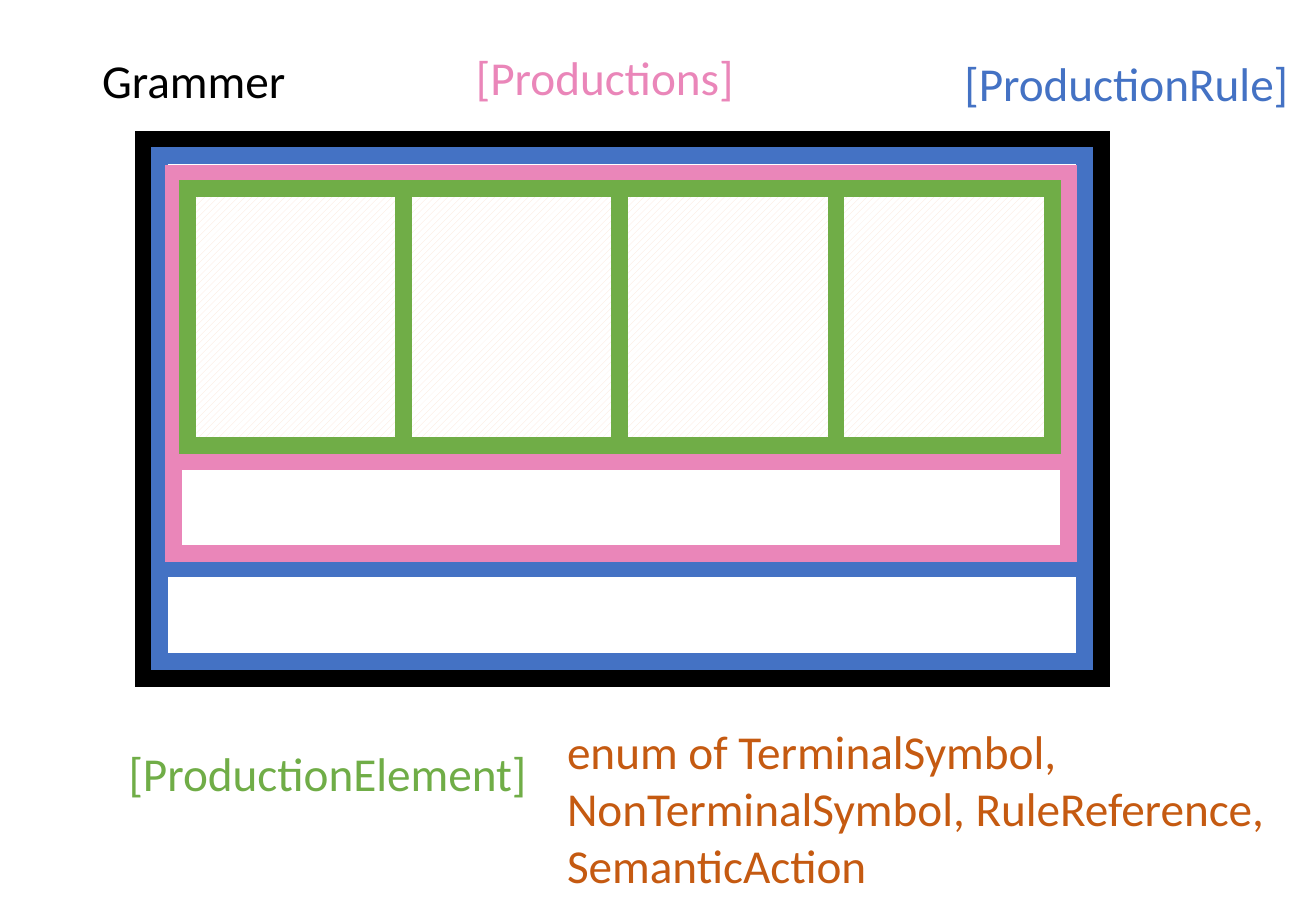
"""Build a slide that shows a grammar as nested boxes of rules, productions and elements."""
import pptx
import pptx.util
import pptx.dml.color
import pptx.enum.dml
import pptx.enum.shapes
import pptx.enum.text
import pptx.oxml.ns
import lxml.etree

Pt = pptx.util.Pt
RGBColor = pptx.dml.color.RGBColor

BLACK = RGBColor(0x00, 0x00, 0x00)
WHITE = RGBColor(0xFF, 0xFF, 0xFF)
BLUE = RGBColor(0x44, 0x72, 0xC4)
PINK = RGBColor(0xEA, 0x86, 0xB9)
GREEN = RGBColor(0x70, 0xAD, 0x47)
ORANGE = RGBColor(0xC5, 0x5A, 0x11)
PEACH = RGBColor(0xFB, 0xE5, 0xD6)


def add_box(left, top, width, height, color):
    box = slide.shapes.add_shape(
        pptx.enum.shapes.MSO_SHAPE.RECTANGLE, Pt(left), Pt(top), Pt(width), Pt(height))
    box.shadow.inherit = False
    box.fill.solid()
    box.fill.fore_color.rgb = WHITE
    box.line.color.rgb = color
    box.line.width = Pt(10)
    miter = lxml.etree.SubElement(box.line._get_or_add_ln(), pptx.oxml.ns.qn("a:miter"))
    miter.set("lim", "800000")
    return box


def write_label(label, left, top, width, height, lines, color):
    label.left, label.top, label.width, label.height = Pt(left), Pt(top), Pt(width), Pt(height)
    frame = label.text_frame
    frame.text = "\n".join(lines)
    frame.word_wrap = False
    frame.auto_size = pptx.enum.text.MSO_AUTO_SIZE.SHAPE_TO_FIT_TEXT
    for paragraph in frame.paragraphs:
        paragraph.alignment = pptx.enum.text.PP_ALIGN.LEFT
        paragraph.font.name = "Calibri"
        paragraph.font.size = Pt(28)
        paragraph.font.color.rgb = color


deck = pptx.Presentation()
deck.slide_width, deck.slide_height = Pt(780), Pt(540)
slide = deck.slides.add_slide(deck.slide_layouts[5])

grammar = slide.shapes.title
write_label(grammar, 53.3, 28.8, 176.4, 41, ["Grammer"], BLACK)
grammar.text_frame.vertical_anchor = pptx.enum.text.MSO_ANCHOR.MIDDLE
grammar.text_frame.paragraphs[0].line_spacing = 0.9

for left, top, width, height, color in [
    (85, 82.8, 568, 319.7, BLACK),
    (94.3, 92.2, 548.6, 244.1, BLUE),
    (94.3, 337, 548.6, 55.4, BLUE),
    (103, 103, 530.6, 170, PINK),
    (103, 273.6, 530.6, 54.7, PINK),
]:
    add_box(left, top, width, height, color)

ELEMENT_WIDTH = 128.2
for column in range(4):
    element = add_box(110.9 + column * ELEMENT_WIDTH, 111.6, ELEMENT_WIDTH, 152.6, GREEN)
    element.fill.patterned()
    element.fill.pattern = pptx.enum.dml.MSO_PATTERN.WIDE_UPWARD_DIAGONAL
    element.fill.fore_color.rgb = PEACH
    element.fill.back_color.rgb = WHITE

for left, top, width, height, lines, color in [
    (564.5, 28.8, 208.8, 41, ["[ProductionRule]"], BLUE),
    (275, 25.2, 169.2, 41, ["[Productions]"], PINK),
    (69.1, 437.8, 260, 41, ["[ProductionElement]"], GREEN),
    (329, 424.8, 438.5, 108.7,
     ["enum of TerminalSymbol,", "NonTerminalSymbol, RuleReference,", "SemanticAction"], ORANGE),
]:
    label = slide.shapes.add_textbox(Pt(left), Pt(top), Pt(width), Pt(height))
    write_label(label, left, top, width, height, lines, color)

deck.save("out.pptx")
